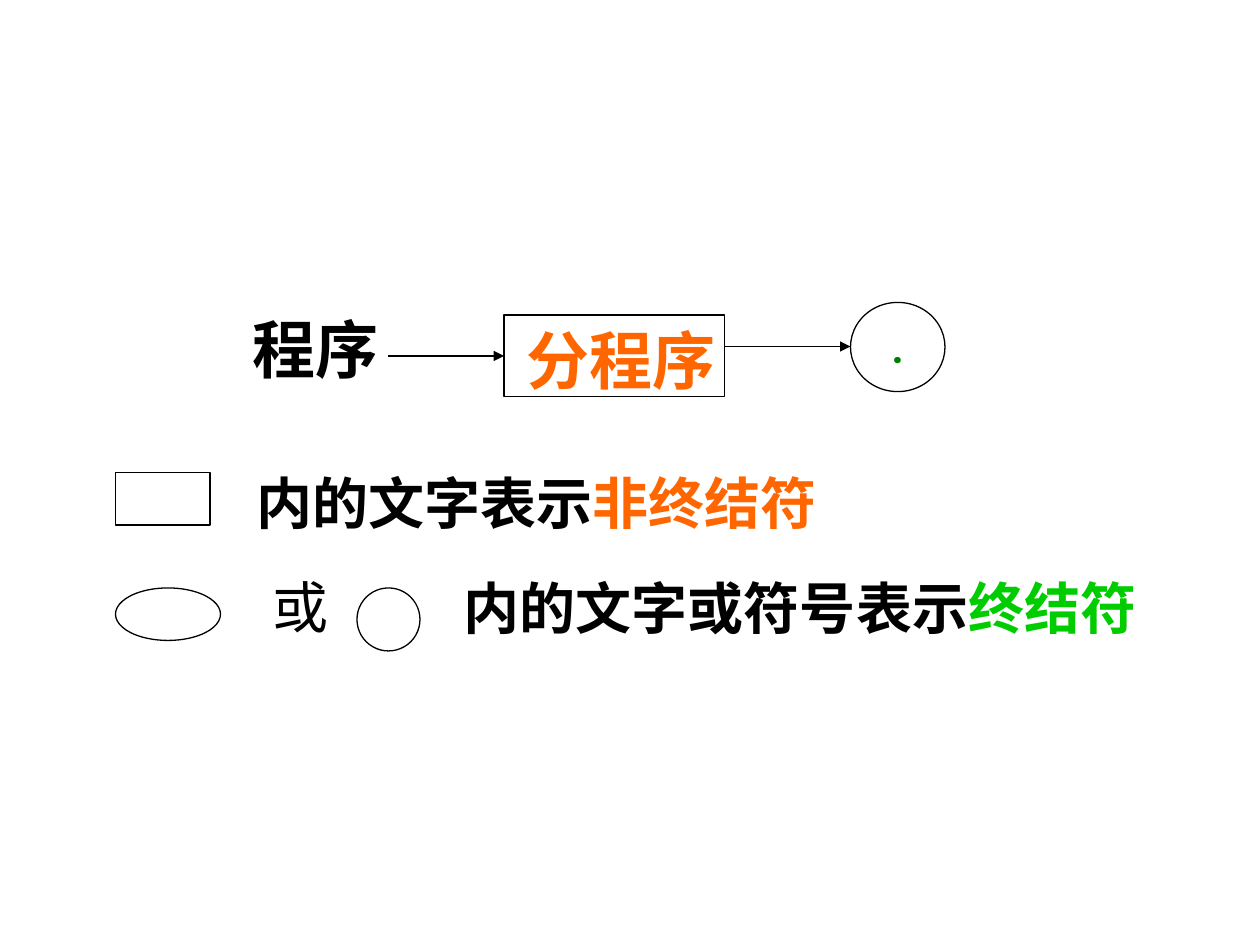
from dataclasses import dataclass

from lxml.etree import SubElement
from pptx import Presentation
from pptx.dml.color import RGBColor
from pptx.enum.shapes import MSO_CONNECTOR as Connector, MSO_SHAPE as Preset
from pptx.enum.text import MSO_ANCHOR as Anchor, MSO_AUTO_SIZE as AutoSize, PP_ALIGN as Align
from pptx.oxml.ns import qn
from pptx.util import Emu, Pt

EMU_PER_PX = 7620
CJK_FONT = "Noto Sans CJK SC"
LATIN_FONT = "Roboto"
COLORS = {
    "ink": "000000",
    "nonterminal": "FF6600",
    "terminal": "00CC00",
    "period": "008000",
}


@dataclass(frozen=True)
class Area:
    left: int
    top: int
    width: int
    height: int


@dataclass(frozen=True)
class Label:
    area: Area
    spans: tuple[tuple[str, str], ...]
    size: int = 32
    font: str = LATIN_FONT
    bold: bool = True
    wrap: bool = False


@dataclass(frozen=True)
class Symbol:
    preset: Preset
    area: Area


@dataclass(frozen=True)
class Arrow:
    start: tuple[int, int]
    end: tuple[int, int]


NONTERMINAL_BOX = Symbol(Preset.RECTANGLE, Area(480, 300, 210, 78))
PERIOD_CIRCLE = Symbol(Preset.OVAL, Area(810, 288, 90, 85))
LEGEND_SYMBOLS = (
    Symbol(Preset.RECTANGLE, Area(110, 450, 90, 50)),
    Symbol(Preset.OVAL, Area(110, 560, 100, 50)),
    Symbol(Preset.OVAL, Area(340, 560, 60, 60)),
)
LABELS = (
    Label(Area(229, 290, 144, 84), (("程序", "ink"),), 36, CJK_FONT),
    Label(Area(490, 300, 210, 84), (("分程序", "nonterminal"),), 36, CJK_FONT, wrap=True),
    Label(Area(232, 440, 558, 77), (("内的文字表示", "ink"), ("非终结符", "nonterminal"))),
    Label(Area(248, 539, 77, 77), (("或", "ink"),), bold=False),
    Label(Area(430, 540, 720, 77), (("内的文字或符号表示", "ink"), ("终结符", "terminal")), wrap=True),
)
TO_BOX = Arrow((370, 339), (480, 339))
TO_CIRCLE = Arrow((690, 330), (810, 330))


def px(length: int) -> Emu:
    return Emu(length * EMU_PER_PX)


def bounds(area: Area) -> tuple[Emu, ...]:
    return tuple(px(n) for n in (area.left, area.top, area.width, area.height))


def color(name: str) -> RGBColor:
    return RGBColor.from_string(COLORS[name])


def apply_format(target, values: dict) -> None:
    for name, value in values.items():
        setattr(target, name, value)


def add_span(para, text: str, tint: str, size: int, font: str, bold: bool) -> None:
    span = para.add_run()
    span.text = text
    apply_format(span.font, {"size": Pt(size), "bold": bold, "name": font})
    span.font.color.rgb = color(tint)
    SubElement(span.font._element, qn("a:ea"), typeface=CJK_FONT)


def draw_outline(line) -> None:
    line.color.rgb = color("ink")
    line.width = Pt(0.75)


def draw_label(page, label: Label) -> None:
    box = page.shapes.add_textbox(*bounds(label.area))
    apply_format(box.text_frame, {"word_wrap": label.wrap, "auto_size": AutoSize.SHAPE_TO_FIT_TEXT})
    para = box.text_frame.paragraphs[0]
    for text, tint in label.spans:
        add_span(para, text, tint, label.size, label.font, label.bold)


def draw_symbol(page, symbol: Symbol):
    shape = page.shapes.add_shape(symbol.preset, *bounds(symbol.area))
    shape.shadow.inherit = False
    shape.fill.background()
    draw_outline(shape.line)
    return shape


def draw_arrow(page, arrow: Arrow):
    ends = [px(n) for n in (*arrow.start, *arrow.end)]
    connector = page.shapes.add_connector(Connector.STRAIGHT, *ends)
    draw_outline(connector.line)
    SubElement(connector.line._get_or_add_ln(), qn("a:tailEnd"), type="triangle")
    SubElement(connector._element.spPr, qn("a:effectLst"))
    return connector


def main() -> None:
    deck = Presentation()
    apply_format(deck, {"slide_width": px(1200), "slide_height": px(900)})
    page = deck.slides.add_slide(deck.slide_layouts[6])

    for label in LABELS:
        draw_label(page, label)
    for symbol in LEGEND_SYMBOLS:
        draw_symbol(page, symbol)

    nonterminal = draw_symbol(page, NONTERMINAL_BOX)
    draw_arrow(page, TO_BOX).end_connect(nonterminal, 1)
    draw_arrow(page, TO_CIRCLE)

    circle = draw_symbol(page, PERIOD_CIRCLE)
    apply_format(circle.text_frame, {"word_wrap": True, "vertical_anchor": Anchor.MIDDLE})
    para = circle.text_frame.paragraphs[0]
    para.alignment = Align.CENTER
    add_span(para, ".", "period", 24, LATIN_FONT, True)

    deck.save("out.pptx")


if __name__ == "__main__":
    main()
